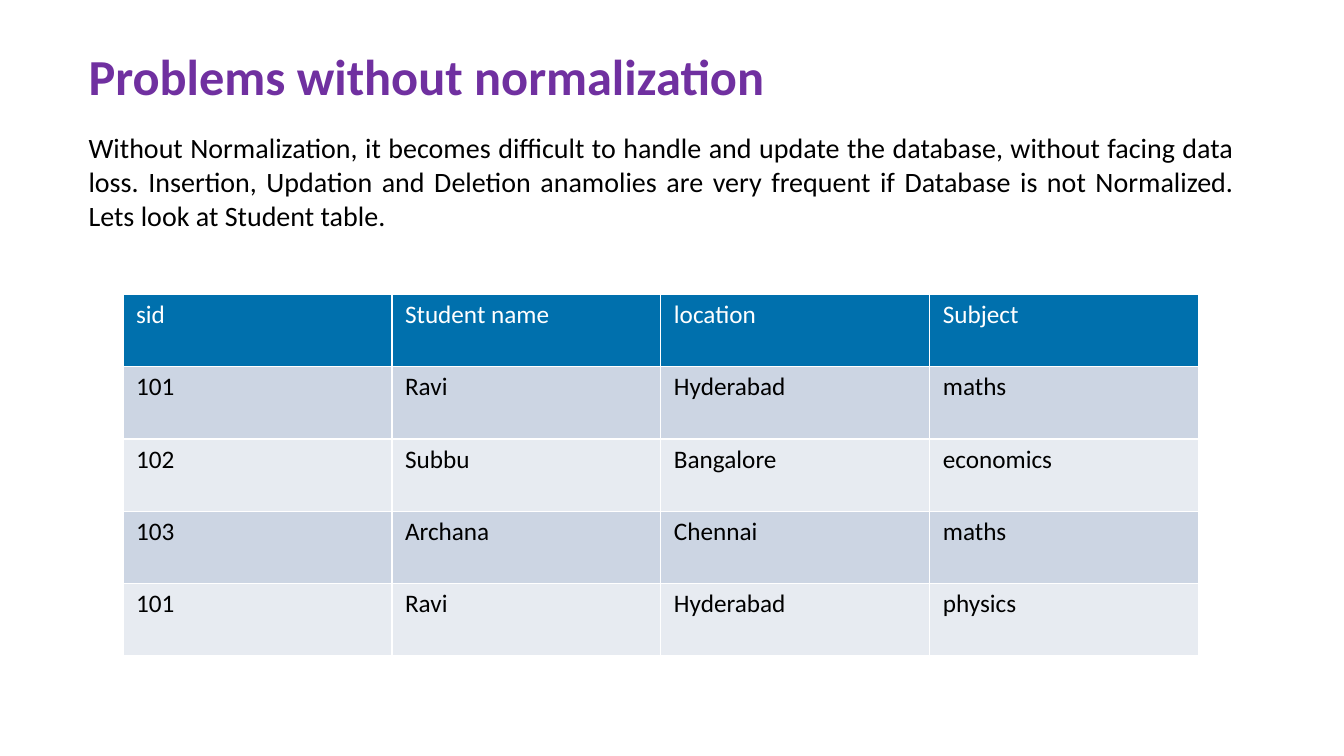
import pptx
import pptx.dml.color
import pptx.enum.text
import pptx.oxml
import pptx.oxml.ns
import pptx.util

Inches = pptx.util.Inches
Pt = pptx.util.Pt

TITLE = "Problems without normalization"
INTRO = (
    "Without Normalization, it becomes difficult to handle and update the database, "
    "without facing data loss. Insertion, Updation and Deletion anamolies are very "
    "frequent if Database is not Normalized. Lets look at Student table."
)
STUDENTS = [
    ("sid", "Student name", "location", "Subject"),
    ("101", "Ravi", "Hyderabad", "maths"),
    ("102", "Subbu", "Bangalore", "economics"),
    ("103", "Archana", "Chennai", "maths"),
    ("101", "Ravi", "Hyderabad", "physics"),
]
COLORS = {
    "title": "7030A0",
    "text": "000000",
    "header": "0070AD",
    "header_text": "FFFFFF",
    "odd_row": "CCD5E3",
    "even_row": "E7EBF1",
    "border": "FFFFFF",
}
FONT = "Calibri"
TABLE_BOX = (1.22, 2.92, 10.67, 3.59)
BORDER_PT = 1


def rgb(name):
    return pptx.dml.color.RGBColor.from_string(COLORS[name])


def style_paragraph(p, size, color, bold=False):
    p.font.name = FONT
    p.font.size = Pt(size)
    p.font.bold = bold
    p.font.color.rgb = rgb(color)


def add_text(slide, box, text, size, color, bold=False):
    tf = slide.shapes.add_textbox(*map(Inches, box)).text_frame
    tf.word_wrap = True
    tf.auto_size = pptx.enum.text.MSO_AUTO_SIZE.SHAPE_TO_FIT_TEXT
    p = tf.paragraphs[0]
    p.text = text
    style_paragraph(p, size, color, bold)
    return p


def add_borders(cell):
    """Draw all four sides; must run before the cell's fill is set."""
    tc_pr = cell._tc.get_or_add_tcPr()
    for side in ("lnL", "lnR", "lnT", "lnB"):
        tc_pr.append(pptx.oxml.parse_xml(
            f'<a:{side} {pptx.oxml.ns.nsdecls("a")} w="{Pt(BORDER_PT)}"><a:solidFill>'
            f'<a:srgbClr val="{COLORS["border"]}"/></a:solidFill></a:{side}>'
        ))


def add_student_table(slide):
    frame = slide.shapes.add_table(
        len(STUDENTS), len(STUDENTS[0]), *map(Inches, TABLE_BOX)
    )
    for i, row in enumerate(STUDENTS):
        fill = "header" if i == 0 else "odd_row" if i % 2 else "even_row"
        color = "text" if i else "header_text"
        for j, value in enumerate(row):
            cell = frame.table.cell(i, j)
            cell.margin_left = cell.margin_right = Inches(0.13)
            cell.margin_top = cell.margin_bottom = Inches(0.05)
            add_borders(cell)
            cell.fill.solid()
            cell.fill.fore_color.rgb = rgb(fill)
            p = cell.text_frame.paragraphs[0]
            p.text = value
            style_paragraph(p, 18, color)


def main():
    prs = pptx.Presentation()
    prs.slide_width = Inches(13.33)
    prs.slide_height = Inches(7.5)
    slide = prs.slides.add_slide(prs.slide_layouts[6])
    add_text(slide, (0.78, 0.4, 8.11, 0.71), TITLE, 36, "title", bold=True)
    intro = add_text(slide, (0.78, 1.25, 11.56, 1.11), INTRO, 20, "text")
    intro.alignment = pptx.enum.text.PP_ALIGN.JUSTIFY
    add_student_table(slide)
    prs.save("out.pptx")


if __name__ == "__main__":
    main()
